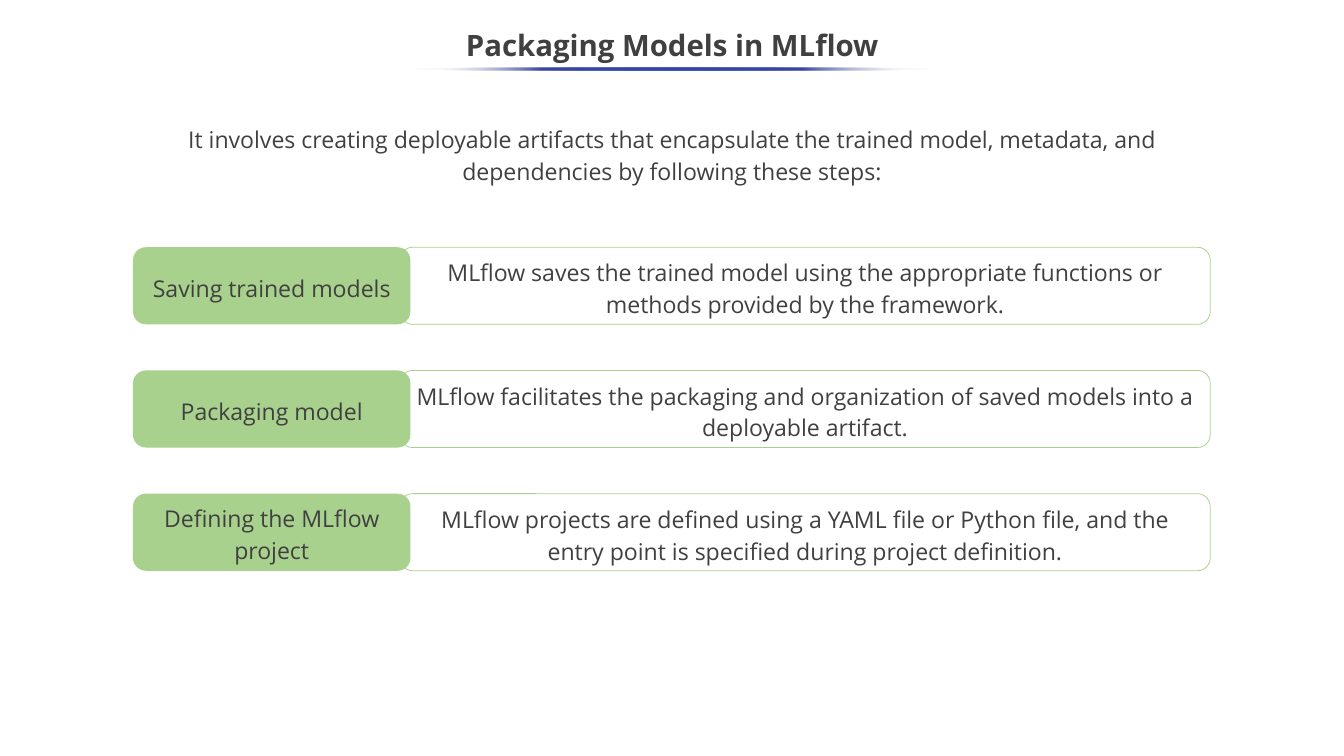
from lxml.etree import SubElement
from pptx import Presentation
from pptx.dml.color import RGBColor
from pptx.enum.shapes import MSO_SHAPE
from pptx.enum.text import MSO_ANCHOR, MSO_AUTO_SIZE, PP_ALIGN
from pptx.oxml import parse_xml
from pptx.oxml.ns import nsdecls, qn
from pptx.util import Inches, Pt

TEXT = RGBColor(0x40, 0x40, 0x40)
GREEN = RGBColor(0xA9, 0xD1, 0x8E)
WHITE = RGBColor(0xFF, 0xFF, 0xFF)
INDIGO = RGBColor(0x36, 0x45, 0xA9)

FONT = {"name": "Open Sans", "size": Pt(22), "bold": False}
TITLE_FONT = {**FONT, "size": Pt(28), "bold": True}

ROW_TOP, ROW_STEP, ROW_HEIGHT = 3.27, 1.63, 1.02
STEPS = [
    ("Saving trained models",
     "MLflow saves the trained model using the appropriate functions or "
     "methods provided by the framework."),
    ("Packaging model",
     "MLflow facilitates the packaging and organization of saved models "
     "into a deployable artifact."),
    ("Defining the MLflow project",
     "MLflow projects are defined using a YAML file or Python file, and the "
     "entry point is specified during project definition."),
]


def write_text(tf, text, font=FONT, line_spacing=1.15, **frame):
    frame = {"word_wrap": True, "auto_size": MSO_AUTO_SIZE.NONE, **frame}
    for name, value in frame.items():
        setattr(tf, name, value)
    p = tf.paragraphs[0]
    p.alignment = PP_ALIGN.CENTER
    p.line_spacing = line_spacing
    p.space_before = Pt(0)
    r = p.add_run()
    r.text = text
    for name, value in font.items():
        setattr(r.font, name, value)
    r.font.color.rgb = TEXT
    return p


def place(sp, left, top, width, height):
    sp.left, sp.top = Inches(left), Inches(top)
    sp.width, sp.height = Inches(width), Inches(height)


def add_title(slide, text):
    sp = slide.shapes.title
    place(sp, -0.01, 0.25, 17.8, 0.75)
    write_text(sp.text_frame, text, TITLE_FONT, 0.9,
               vertical_anchor=MSO_ANCHOR.MIDDLE)


def add_intro(slide, text):
    sp = slide.placeholders[1]
    place(sp, 1.4, 1.61, 14.98, 0.99)
    p = write_text(sp.text_frame, text, vertical_anchor=MSO_ANCHOR.TOP,
                   margin_top=0, margin_bottom=0)
    # Plain paragraph: no bullet, no hanging indent
    pPr = p._p.get_or_add_pPr()
    pPr.set("marL", "0")
    pPr.set("indent", "0")
    SubElement(pPr, qn("a:buNone"))


def add_underline(slide):
    sp = slide.shapes.add_shape(MSO_SHAPE.OVAL, Inches(5.47), Inches(0.89),
                                Inches(6.84), Inches(0.04))
    sp.shadow.inherit = False
    sp.line.fill.background()
    # Gradient that fades out at both ends
    stops = ""
    for pos, color, alpha in [(0, WHITE, 0), (25, INDIGO, 100),
                              (75, INDIGO, 100), (100, WHITE, 0)]:
        stops += (f'<a:gs pos="{pos * 1000}"><a:srgbClr val="{color}">'
                  f'<a:alpha val="{alpha * 1000}"/></a:srgbClr></a:gs>')
    sp._element.spPr.find(qn("a:prstGeom")).addnext(parse_xml(
        f'<a:gradFill {nsdecls("a")} rotWithShape="1"><a:gsLst>{stops}</a:gsLst>'
        '<a:lin ang="10800000" scaled="0"/></a:gradFill>'))


def add_box(group, left, top, width, text, filled, **frame):
    sp = group.shapes.add_shape(MSO_SHAPE.ROUNDED_RECTANGLE, Inches(left),
                                Inches(top), Inches(width), Inches(ROW_HEIGHT))
    sp.shadow.inherit = False
    if filled:
        sp.fill.solid()
        sp.fill.fore_color.rgb = GREEN
        sp.line.fill.background()
    else:
        sp.fill.background()
        sp.line.color.rgb = GREEN
        sp.line.width = Pt(0.75)
    write_text(sp.text_frame, text, **frame)


def add_step(slide, top, label, description):
    group = slide.shapes.add_group_shape()
    add_box(group, 5.29, top, 10.72, description, False,
            vertical_anchor=MSO_ANCHOR.TOP,
            auto_size=MSO_AUTO_SIZE.SHAPE_TO_FIT_TEXT)
    add_box(group, 1.76, top, 3.67, label, True,
            vertical_anchor=MSO_ANCHOR.MIDDLE)


def main():
    prs = Presentation()
    prs.slide_width, prs.slide_height = Inches(17.78), Inches(10)
    slide = prs.slides.add_slide(prs.slide_layouts[1])

    # Heading
    add_title(slide, "Packaging Models in MLflow")
    add_underline(slide)
    add_intro(slide, "It involves creating deployable artifacts that encapsulate "
                     "the trained model, metadata, and dependencies by "
                     "following these steps:")

    # Steps
    for i, (label, description) in enumerate(STEPS):
        add_step(slide, ROW_TOP + i * ROW_STEP, label, description)

    prs.save("out.pptx")


if __name__ == "__main__":
    main()
